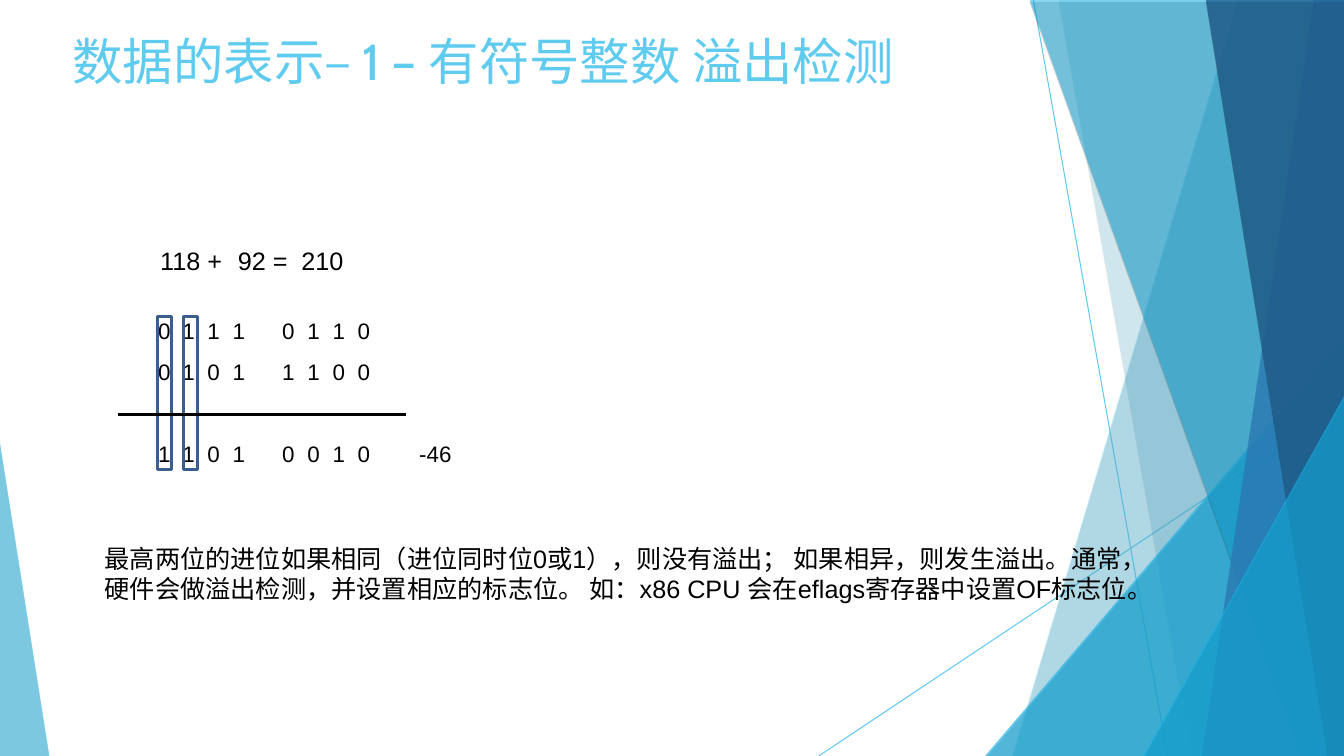
from lxml import etree
from pptx import Presentation
from pptx import util as u
from pptx.dml.color import RGBColor
from pptx.enum import shapes, text
from pptx.oxml.ns import qn

SCALE = 9144  # EMU per px, 100 px to the inch
WIDTH, HEIGHT = 1333, 750
SKY, CYAN, BLUE, NAVY = "5FCBEF", "17B0E4", "2E83C3", "226292"
BLACK, FRAME_BLUE = "000000", "3A5F8C"


def px(length):
    return u.Emu(int(length * SCALE))


def colour(value):
    return RGBColor.from_string(value)


def add_line(slide, start, end, line_colour, points):
    line = slide.shapes.add_connector(
        shapes.MSO_CONNECTOR.STRAIGHT, *map(px, start + end))
    line.line.color.rgb = colour(line_colour)
    line.line.width = u.Pt(points)
    etree.SubElement(line._element.spPr, qn("a:effectLst"))


def add_text(slide, box, paragraphs, size, font, text_colour=BLACK,
             wrap=True, tabs=()):
    """Add a text box; paragraphs are (text, space before in points) pairs."""
    frame = slide.shapes.add_textbox(*map(px, box)).text_frame
    frame.word_wrap = wrap
    frame.vertical_anchor = text.MSO_ANCHOR.TOP
    for index, (words, space_before) in enumerate(paragraphs):
        paragraph = frame.add_paragraph() if index else frame.paragraphs[0]
        if tabs:
            tab_list = etree.SubElement(
                paragraph._p.get_or_add_pPr(), qn("a:tabLst"))
            for position in tabs:
                etree.SubElement(tab_list, qn("a:tab"),
                                 pos=str(px(position)), algn="l")
        paragraph.space_before = u.Pt(space_before)
        run = paragraph.add_run()
        run.text = words
        run.font.size = u.Pt(size)
        run.font.name = font
        run.font.color.rgb = colour(text_colour)


def style_facet(shape, fill_colour, opacity):
    """Give a facet a translucent fill, no outline and a short drop shadow."""
    shape.fill.solid()
    shape.fill.fore_color.rgb = colour(fill_colour)
    shape.line.fill.background()
    fill = shape._element.spPr.find(qn("a:solidFill"))
    etree.SubElement(fill[0], qn("a:alpha"), val=str(opacity * 1000))
    shape.shadow.inherit = False
    effects = shape._element.spPr.find(qn("a:effectLst"))
    shadow = etree.SubElement(effects, qn("a:outerShdw"), blurRad="0",
                              dist=str(u.Pt(2)), dir="5400000",
                              rotWithShape="0")
    black = etree.SubElement(shadow, qn("a:srgbClr"), val=BLACK)
    etree.SubElement(black, qn("a:alpha"), val="35000")


def add_band(slide, top_x, bottom_x, fill_colour, opacity):
    """Add a full-height facet between a slanted edge and the right side."""
    builder = slide.shapes.build_freeform(top_x, -1, scale=SCALE)
    builder.add_line_segments(
        [(WIDTH, -1), (WIDTH, HEIGHT), (bottom_x, HEIGHT)], close=True)
    style_facet(builder.convert_to_shape(), fill_colour, opacity)


def add_corner(slide, left, top, right, apex, fill_colour, opacity):
    """Add a right triangle standing on the bottom of the slide."""
    triangle = slide.shapes.add_shape(
        shapes.MSO_SHAPE.ISOSCELES_TRIANGLE,
        *map(px, (left, top, right - left, HEIGHT - top)))
    triangle.adjustments[0] = apex
    style_facet(triangle, fill_colour, opacity)


def add_backdrop(slide):
    add_line(slide, (1025, 0), (1158, HEIGHT), SKY, 0.75)
    add_line(slide, (WIDTH, 403), (812, HEIGHT), SKY, 0.75)
    add_band(slide, 1228, 1004, SKY, 36)
    add_band(slide, 1050, 1182, SKY, 20)
    add_corner(slide, 977, 333, WIDTH, 1, CYAN, 66)
    add_band(slide, 1021, 1291, CYAN, 50)
    add_band(slide, 1303, 1192, BLUE, 70)
    add_band(slide, 1196, 1317, NAVY, 80)
    add_corner(slide, 1134, 393, WIDTH, 1, CYAN, 66)
    add_corner(slide, 0, 439, 49, 0, SKY, 70)


def add_addition(slide, left, top):
    """Place the sum, its binary rows and the frames on the top two bits."""
    rows_top = top + 72
    # Slot 4 is the gap between nibbles; the decimal value follows the bits.
    bit_tabs = [31 + int(24.75 * slot)
                for slot in (0, 1, 2, 3, 5, 6, 7, 8, 10.5)]
    rows = [("01110110", "", 0), ("01011100", "", 10), ("11010010", "-46", 39)]
    paragraphs = [("\t" + "\t".join([*bits, value]).rstrip(), space)
                  for bits, value, space in rows]
    add_text(slide, (left, rows_top, 353, 239), paragraphs, 16, "Arial",
             tabs=bit_tabs)
    for bit in range(2):
        frame = slide.shapes.add_shape(
            shapes.MSO_SHAPE.RECTANGLE,
            *map(px, (left + 40 + 26 * bit, rows_top + 4, 14, 152)))
        frame.fill.background()
        frame.line.color.rgb = colour(FRAME_BLUE)
        frame.line.width = u.Pt(2)
        frame.shadow.inherit = False
    add_line(slide, (left + 1, rows_top + 101), (left + 287, rows_top + 101),
             BLACK, 2.25)
    add_text(slide, (left + 33, top, 202, 40), [("118 +\t92 =\t210", 0)],
             18, "Arial", wrap=False, tabs=(77, 140))


def build_slide(presentation):
    slide = presentation.slides.add_slide(presentation.slide_layouts[6])
    add_backdrop(slide)
    add_text(slide, (62, 25, 887, 81),
             [("数据的表示– 1 – 有符号整数 溢出检测", 0)], 36, "Cabin", SKY)
    add_addition(slide, 116, 238)
    add_text(slide, (94, 534, 1039, 71), [(
        "最高两位的进位如果相同（进位同时位0或1），则没有溢出； "
        "如果相异，则发生溢出。通常，硬件会做溢出检测，并设置相应的标志位。 "
        "如：x86 CPU 会在eflags寄存器中设置OF标志位。", 0)], 18, "Arial")


def main():
    presentation = Presentation()
    presentation.slide_width = px(WIDTH)
    presentation.slide_height = px(HEIGHT)
    build_slide(presentation)
    presentation.save("out.pptx")


if __name__ == "__main__":
    main()
